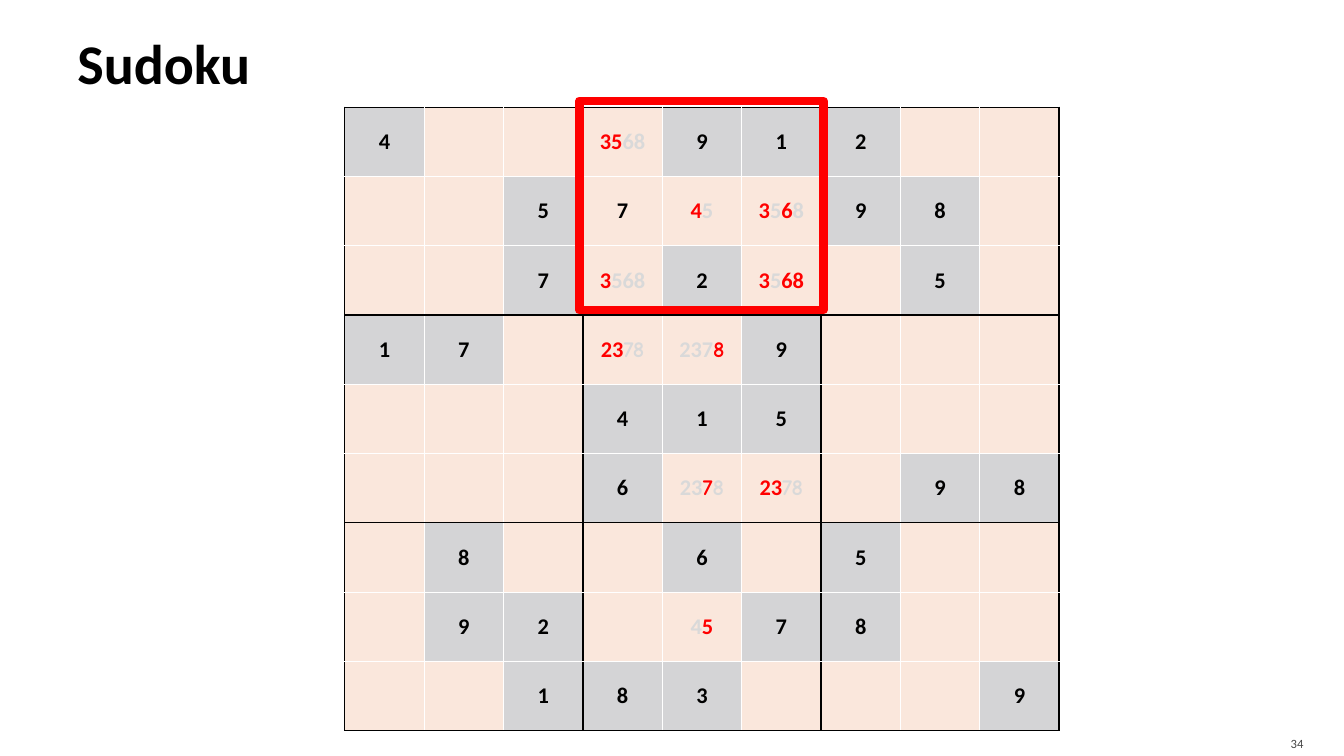
from typing import NamedTuple

from lxml import etree
from pptx import Presentation
from pptx.dml.color import RGBColor
from pptx.enum.shapes import MSO_SHAPE
from pptx.enum.text import MSO_ANCHOR, MSO_AUTO_SIZE, PP_ALIGN
from pptx.oxml.ns import qn
from pptx.util import Cm, Pt

LEFT, CENTER, RIGHT = PP_ALIGN.LEFT, PP_ALIGN.CENTER, PP_ALIGN.RIGHT
MIDDLE = MSO_ANCHOR.MIDDLE
NO_AUTOFIT = MSO_AUTO_SIZE.NONE
RECTANGLE = MSO_SHAPE.RECTANGLE

BLACK = RGBColor(0x00, 0x00, 0x00)
WHITE = RGBColor(0xFF, 0xFF, 0xFF)
RED = RGBColor(0xFF, 0x00, 0x00)
FADED = RGBColor(0xD9, 0xD9, 0xD9)
DARK_GREY = RGBColor(0x45, 0x45, 0x45)
GIVEN_FILL = RGBColor(0xD4, 0xD4, 0xD6)
OPEN_FILL = RGBColor(0xFA, 0xE7, 0xDC)

FONT = "Calibri"
COMIC = "Comic Neue"
SIZE, BOX = 9, 3


class Digits(NamedTuple):
    """Digits of one colour inside a cell."""
    text: str
    color: RGBColor = RED
    font: str = FONT


# Given digits, one string per row
GIVENS = (
    "4...912..",
    "..5...98.",
    "..7.2..5.",
    "17...9...",
    "...415...",
    "...6...98",
    ".8..6.5..",
    ".92..78..",
    "..183...9",
)

# Digits worked out so far, by (row, column): red ones remain possible
CANDIDATES = {
    (0, 3): [Digits("35"), Digits("68", FADED)],
    (1, 3): [Digits("7", BLACK)],
    (1, 4): [Digits("4"), Digits("5", FADED)],
    (1, 5): [Digits("3"), Digits("5", FADED), Digits("6"), Digits("8", FADED)],
    (2, 3): [Digits("3"), Digits("568", FADED)],
    (2, 5): [Digits("3"), Digits("5", FADED), Digits("68")],
    (3, 3): [Digits("23"), Digits("78", FADED, COMIC)],
    (3, 4): [Digits("237", FADED), Digits("8", RED, COMIC)],
    (5, 4): [Digits("23", FADED), Digits("7", RED, COMIC), Digits("8", FADED, COMIC)],
    (5, 5): [Digits("23"), Digits("78", FADED, COMIC)],
    (7, 4): [Digits("4", FADED), Digits("5")],
}


def add_text(paragraph, text: str, *, size: float, color: RGBColor = BLACK,
             font: str = FONT, bold: bool = True, align=CENTER) -> None:
    paragraph.alignment = align
    run = paragraph.add_run()
    run.text = text
    run.font.name = font
    run.font.size = Pt(size)
    run.font.bold = bold
    run.font.color.rgb = color


def set_frame(text_frame, left: float, top: float, right: float, bottom: float) -> None:
    text_frame.word_wrap = True
    text_frame.auto_size = NO_AUTOFIT
    text_frame.vertical_anchor = MIDDLE
    text_frame.margin_left, text_frame.margin_top = Cm(left), Cm(top)
    text_frame.margin_right, text_frame.margin_bottom = Cm(right), Cm(bottom)


def add_border(cell, side: str, color: RGBColor) -> None:
    properties = cell._tc.get_or_add_tcPr()
    line = etree.SubElement(properties, qn(f"a:{side}"), w=str(Pt(1)))
    fill = etree.SubElement(line, qn("a:solidFill"))
    etree.SubElement(fill, qn("a:srgbClr"), val=str(color))


def format_cell(cell, row: int, column: int) -> None:
    # Black lines around each box, white ones inside
    edges = {
        "lnL": column % BOX == 0,
        "lnR": column % BOX == BOX - 1,
        "lnT": row % BOX == 0,
        "lnB": row % BOX == BOX - 1,
    }
    for side, on_box_edge in edges.items():
        add_border(cell, side, BLACK if on_box_edge else WHITE)

    given = GIVENS[row][column]
    is_given = given != "."
    cell.fill.solid()
    cell.fill.fore_color.rgb = GIVEN_FILL if is_given else OPEN_FILL
    cell.vertical_anchor = MIDDLE
    content = [Digits(given, BLACK)] if is_given else CANDIDATES.get((row, column), [])
    for digits in content:
        add_text(cell.text_frame.paragraphs[0], digits.text, size=16,
                 color=digits.color, font=digits.font)


def add_grid(slide) -> None:
    table = slide.shapes.add_table(SIZE, SIZE, Cm(8.69), Cm(2.7), Cm(18), Cm(15.72)).table
    table.first_row = False
    table.horz_banding = False
    for row in range(SIZE):
        for column in range(SIZE):
            format_cell(table.cell(row, column), row, column)


def add_highlight(slide) -> None:
    frame = slide.shapes.add_shape(RECTANGLE, Cm(14.6), Cm(2.54), Cm(6.15), Cm(5.28))
    frame.shadow.inherit = False
    frame.fill.background()
    frame.line.color.rgb = RED
    frame.line.width = Pt(6)
    etree.SubElement(frame.line._get_or_add_ln(), qn("a:round"))


def main() -> None:
    presentation = Presentation()
    presentation.slide_width, presentation.slide_height = Cm(33.87), Cm(19.05)
    slide = presentation.slides.add_slide(presentation.slide_layouts[5])

    # Title
    title = slide.shapes.title
    title.left, title.top, title.width, title.height = Cm(1.7), Cm(0.2), Cm(30.48), Cm(2.74)
    set_frame(title.text_frame, 0.25, 0.13, 0.13, 0.13)
    add_text(title.text_frame.paragraphs[0], "Sudoku", size=40, align=LEFT)

    # Page number
    number = slide.shapes.add_textbox(Cm(30.38), Cm(18.29), Cm(2.72), Cm(0.76))
    set_frame(number.text_frame, 0.25, 0.13, 0.25, 0)
    add_text(number.text_frame.paragraphs[0], "34", size=9, color=DARK_GREY,
             bold=False, align=RIGHT)

    # Puzzle and highlighted box
    add_grid(slide)
    add_highlight(slide)

    presentation.save("out.pptx")


if __name__ == "__main__":
    main()
